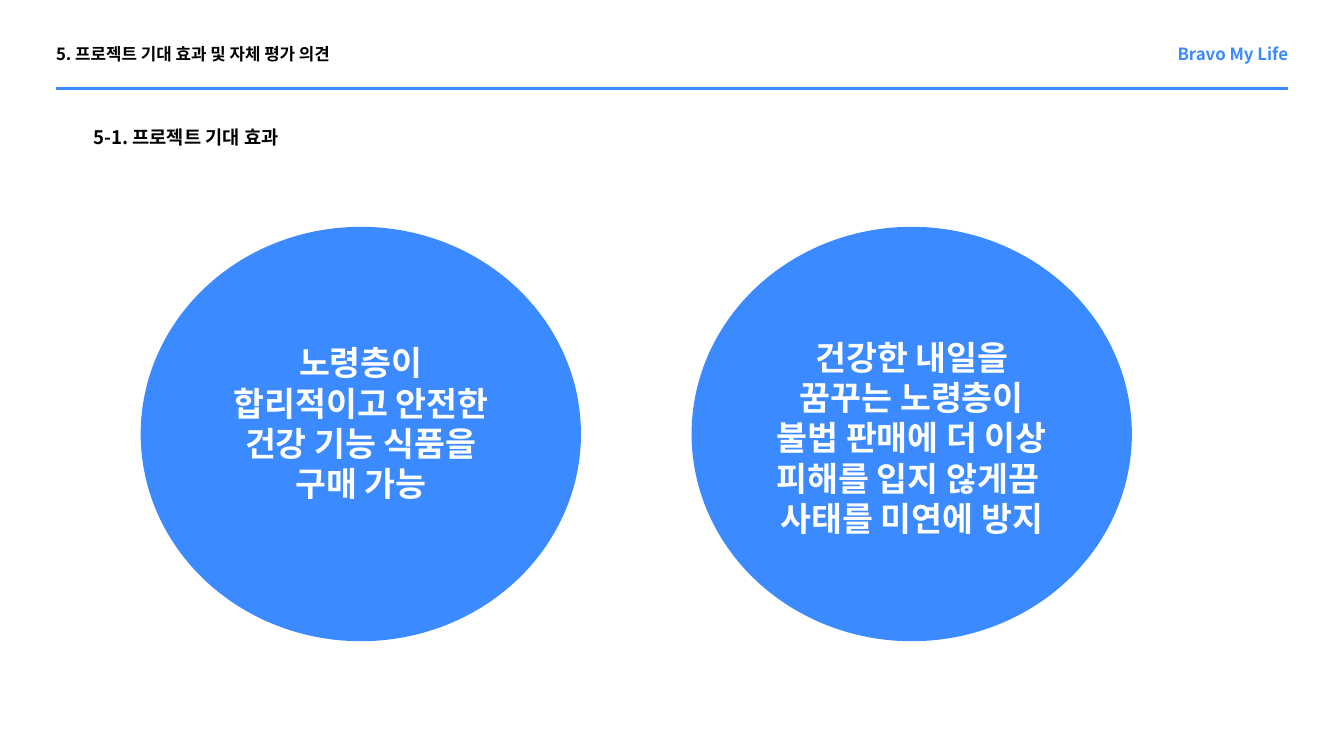
"""Build the project expected-effects slide."""
from lxml import etree
from pptx import Presentation
from pptx.dml.color import RGBColor
from pptx.enum.shapes import MSO_CONNECTOR, MSO_SHAPE
from pptx.enum.text import PP_ALIGN
from pptx.oxml.ns import qn
from pptx.util import Pt

PX = 9525
STRAIGHT, OVAL = MSO_CONNECTOR.STRAIGHT, MSO_SHAPE.OVAL
LEFT, CENTER, RIGHT, JUSTIFY = PP_ALIGN.LEFT, PP_ALIGN.CENTER, PP_ALIGN.RIGHT, PP_ALIGN.JUSTIFY
THEME = {
    "font": "Noto Sans CJK KR",
    "blue": RGBColor.from_string("3B8AFF"),
    "black": RGBColor.from_string("000000"),
    "white": RGBColor.from_string("FFFFFF"),
    "header": 18,
    "subtitle": 20,
    "body": 36,
    "rule": 3,
}


def px(*values):
    return [v * PX for v in values]


def add_text(s, box, text, size, color, align, leading=None):
    tf = s.shapes.add_textbox(*px(*box)).text_frame
    tf.word_wrap = True
    p = tf.paragraphs[0]
    p.text = text
    p.alignment = align
    if leading:
        tf.margin_left = tf.margin_top = tf.margin_right = tf.margin_bottom = 0
        p.line_spacing = Pt(leading)
    p.font.size = Pt(THEME[size])
    p.font.bold = True
    p.font.color.rgb = THEME[color]
    p.font.name = THEME["font"]
    latin = p._p.pPr.find(qn("a:defRPr")).find(qn("a:latin"))
    ea = etree.Element(qn("a:ea"), typeface=THEME["font"])
    latin.addnext(ea)


prs = Presentation()
prs.slide_width, prs.slide_height = px(1920, 1080)
s = prs.slides.add_slide(prs.slide_layouts[6])

rule = s.shapes.add_connector(STRAIGHT, *px(80, 127, 1840, 127))
rule.line.color.rgb = THEME["blue"]
rule.line.width = Pt(THEME["rule"])
etree.SubElement(rule._element.spPr, qn("a:effectLst"))

add_text(s, (133, 174, 687, 35), "5-1. 프로젝트 기대 효과", "subtitle", "black", LEFT, 28)
add_text(s, (1615, 57, 225, 31), "Bravo My Life", "header", "blue", RIGHT, 25.2)
add_text(s, (80, 57, 560, 31), "5. 프로젝트 기대 효과 및 자체 평가 의견", "header", "black", JUSTIFY, 25.2)

EFFECTS = [
    (201, 484, 242, "노령층이 합리적이고 안전한 건강 기능 식품을 구매 가능"),
    (988, 476, 359, "건강한 내일을 꿈꾸는 노령층이 불법 판매에 더 이상 피해를 입지 않게끔  사태를 미연에 방지"),
]
for left, top, height, text in EFFECTS:
    circle = s.shapes.add_shape(OVAL, *px(left, 324, 629, 592))
    circle.shadow.inherit = False
    circle.fill.solid()
    circle.fill.fore_color.rgb = THEME["blue"]
    circle.line.fill.background()
    add_text(s, (left + 109, top, 411, height), text, "body", "white", CENTER)

prs.save("out.pptx")
